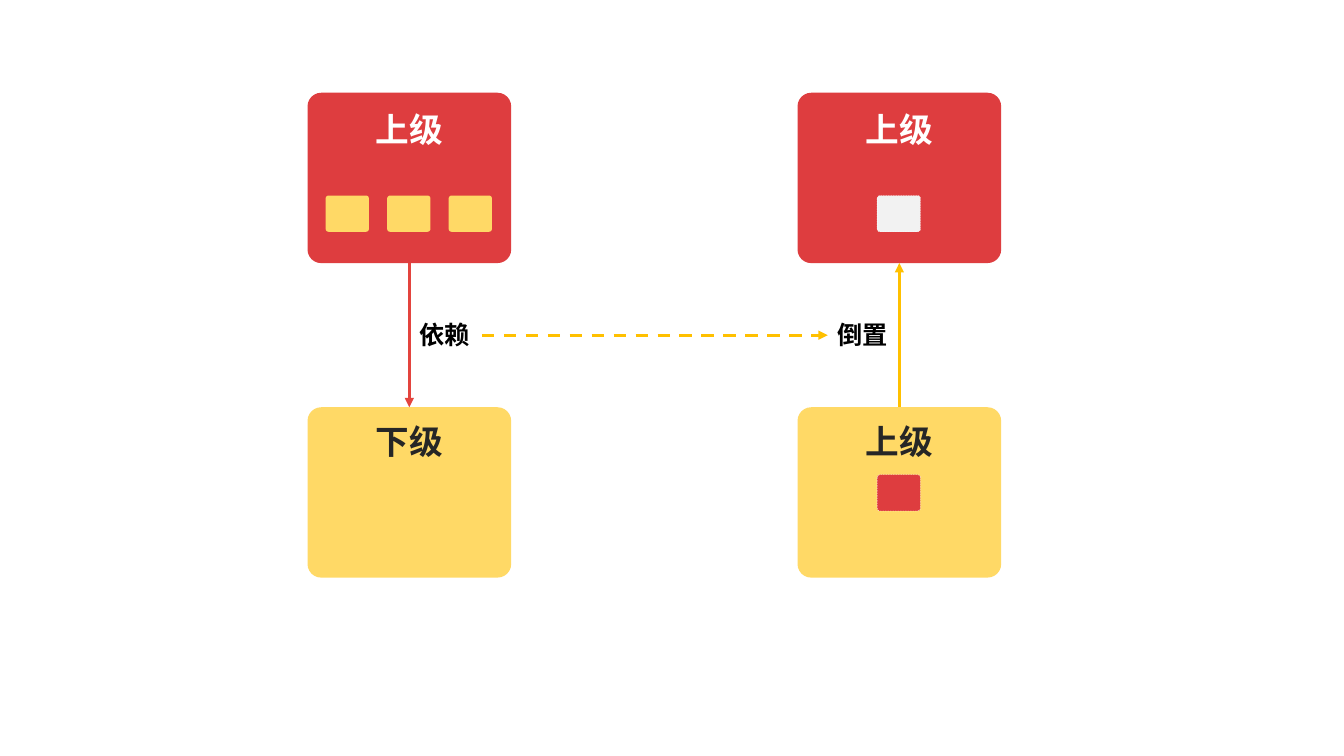
from lxml.etree import SubElement
from pptx import Presentation
from pptx.dml.color import RGBColor
from pptx.enum.dml import MSO_LINE
from pptx.enum.shapes import MSO_CONNECTOR, MSO_SHAPE
from pptx.enum.text import MSO_AUTO_SIZE, PP_ALIGN
from pptx.oxml.ns import qn
from pptx.util import Pt

PX = 9144  # 100 px to the inch
FONT = "Calibri"
COLORS = {
    "red": "DE3D3F", "yellow": "FFD966", "grey": "F2F2F2", "white": "FFFFFF",
    "dark": "262626", "black": "000000", "red_line": "E3443E", "gold": "FFC000",
}
TOP, BOTTOM, LEFT, RIGHT = 0, 1, 2, 3  # connection sites of a rectangle
TOP, LEFT, BOTTOM, RIGHT = range(4)

BOX_W, BOX_H = 202, 169
CHIP_W, CHIP_H, CHIP_PITCH = 43, 36, 61
COLUMNS = {"before": 305, "after": 791}
ROWS = {  # y, fill, title colour, title offset, chip offset
    "upper": (92, "red", "white", 11, 102),
    "lower": (404, "yellow", "dark", 9, 67),
}
# column, row, title, chip fills, chips outlined
BOXES = [
    ("before", "upper", "上级", ["yellow"] * 3, False),
    ("before", "lower", "下级", [], False),
    ("after", "upper", "上级", ["grey"], True),
    ("after", "lower", "上级", ["red"], True),
]
LABELS = {"依赖": 406, "倒置": 821}
LABEL_Y, LABEL_W, LABEL_H = 312, 72, 41


def rgb(name):
    return RGBColor.from_string(COLORS[name])


def emu(*lengths):
    return [n * PX for n in lengths]


def add_round_rect(slide, x, y, w, h, fill, outlined=False):
    sp = slide.shapes.add_shape(MSO_SHAPE.ROUNDED_RECTANGLE, *emu(x, y, w, h))
    sp.adjustments[0] = 0.08
    sp.shadow.inherit = False
    sp.fill.solid()
    sp.fill.fore_color.rgb = rgb(fill)
    if outlined:
        sp.line.color.rgb = rgb("white")
        sp.line.width = Pt(0.25)
        sp.line.dash_style = MSO_LINE.DASH
    else:
        sp.line.fill.background()
    return sp


def add_text(slide, text, x, y, w, h, size, color, align, wrap):
    sp = slide.shapes.add_textbox(*emu(x, y, w, h))
    tf = sp.text_frame
    tf.word_wrap = wrap
    tf.auto_size = MSO_AUTO_SIZE.SHAPE_TO_FIT_TEXT
    p = tf.paragraphs[0]
    p.text = text
    p.alignment = align
    font = p.runs[0].font
    font.name, font.size, font.bold = FONT, Pt(size), True
    font.color.rgb = rgb(color)
    return sp


def add_arrow(slide, start, start_site, end, end_site, color, dash=None):
    """Join two shapes with a straight line that has a triangle at its end."""
    line = slide.shapes.add_connector(MSO_CONNECTOR.STRAIGHT, 0, 0, 0, 0)
    line.begin_connect(start, start_site)
    line.end_connect(end, end_site)
    line.line.color.rgb = rgb(color)
    line.line.width = Pt(2.25)
    if dash:
        line.line.dash_style = dash
    SubElement(line.line._get_or_add_ln(), qn("a:tailEnd"), type="triangle")
    SubElement(line._element.spPr, qn("a:effectLst"))


def add_box(slide, column, row, title, chips, outlined):
    x = COLUMNS[column]
    y, fill, title_color, title_dy, chip_dy = ROWS[row]
    box = add_round_rect(slide, x, y, BOX_W, BOX_H, fill)
    chips_w = CHIP_PITCH * (len(chips) - 1) + CHIP_W
    chip_x = x + (BOX_W - chips_w) // 2
    for i, chip in enumerate(chips):
        add_round_rect(slide, chip_x + i * CHIP_PITCH, y + chip_dy,
                       CHIP_W, CHIP_H, chip, outlined)
    add_text(slide, title, x, y + title_dy, BOX_W, 50, 24, title_color,
             PP_ALIGN.CENTER, True)
    return box


def main():
    prs = Presentation()
    prs.slide_width, prs.slide_height = emu(1333, 750)
    slide = prs.slides.add_slide(prs.slide_layouts[6])

    boxes = {(b[0], b[1]): add_box(slide, *b) for b in BOXES}
    depends, inverted = [
        add_text(slide, text, x, LABEL_Y, LABEL_W, LABEL_H, 18, "black",
                 PP_ALIGN.LEFT, False)
        for text, x in LABELS.items()
    ]
    add_arrow(slide, boxes["before", "upper"], BOTTOM,
              boxes["before", "lower"], TOP, "red_line")
    add_arrow(slide, boxes["after", "lower"], TOP,
              boxes["after", "upper"], BOTTOM, "gold")
    add_arrow(slide, depends, RIGHT, inverted, LEFT, "gold", MSO_LINE.DASH)
    prs.save("out.pptx")


if __name__ == "__main__":
    main()
